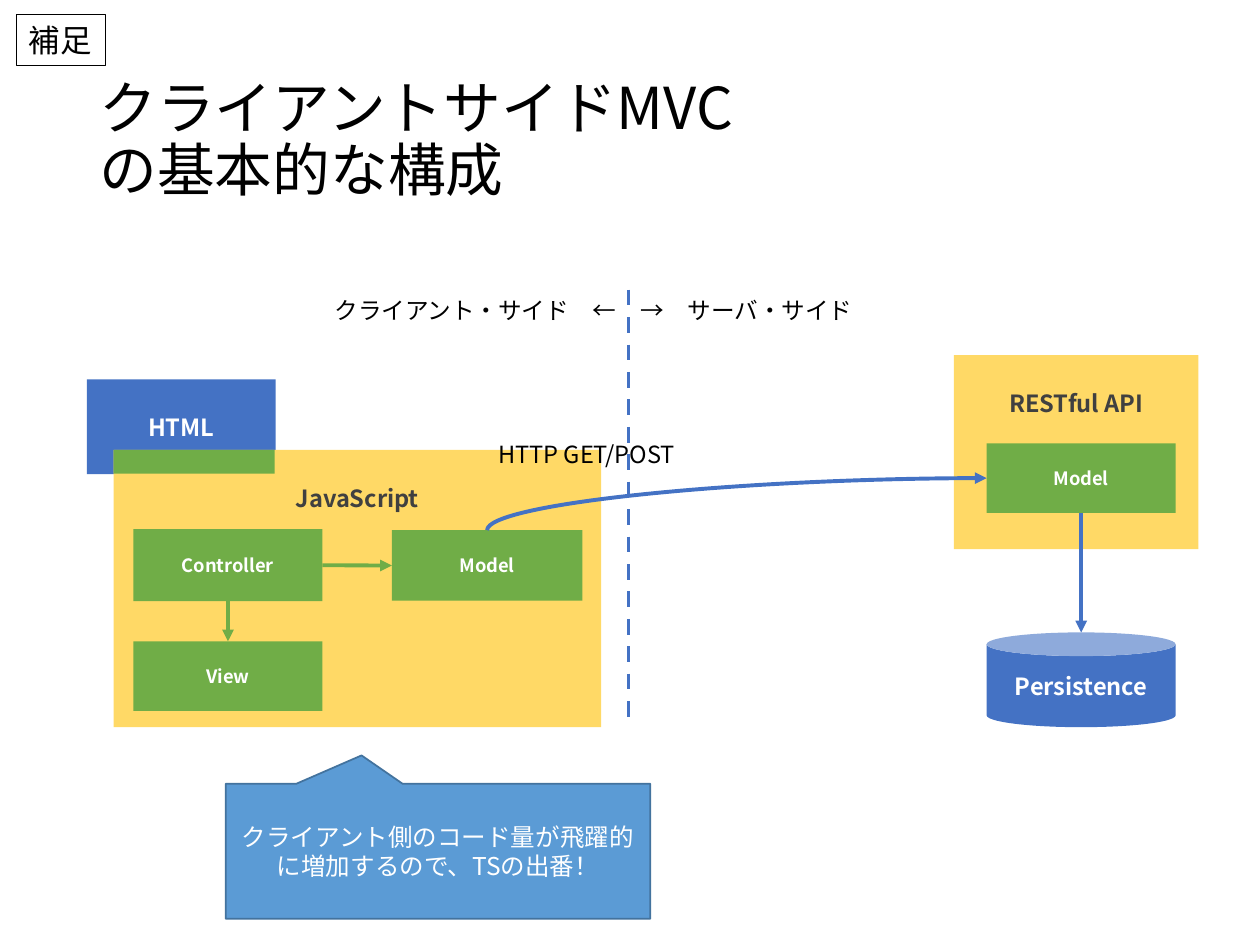
from dataclasses import dataclass
from typing import Optional

from lxml.etree import SubElement
from pptx import Presentation
from pptx.dml.color import RGBColor
from pptx.enum.dml import MSO_LINE
from pptx.enum.shapes import MSO_CONNECTOR, MSO_SHAPE as Shape
from pptx.enum.text import MSO_ANCHOR as Anchor, MSO_AUTO_SIZE as AutoSize, PP_ALIGN as Align
from pptx.oxml.ns import qn
from pptx.util import Cm, Pt

FONT = "Noto Sans CJK JP"
BLACK = RGBColor(0x00, 0x00, 0x00)
WHITE = RGBColor(0xFF, 0xFF, 0xFF)
GRAY = RGBColor(0x40, 0x40, 0x40)
BLUE = RGBColor(0x44, 0x72, 0xC4)
GREEN = RGBColor(0x70, 0xAD, 0x47)
YELLOW = RGBColor(0xFF, 0xD9, 0x66)
SKY = RGBColor(0x5B, 0x9B, 0xD5)
SKY_EDGE = RGBColor(0x43, 0x73, 0x9E)

DIVIDER_X, DIVIDER_TOP, DIVIDER_BOTTOM = 12.67, 5.84, 14.66


@dataclass
class Block:
    """A filled shape, in centimetres, with its label."""
    left: float
    top: float
    width: float
    height: float
    fill: RGBColor
    text: str = ""
    size: float = 13.5
    color: RGBColor = WHITE
    bold: bool = True
    kind: Shape = Shape.RECTANGLE
    heading: bool = False  # label one line below the top edge


@dataclass
class Label:
    left: float
    top: float
    width: float
    height: float
    text: str
    size: float = 13.5


def write(shape, text: str, *, size: float, color: RGBColor = BLACK, bold: bool = False,
          align=Align.LEFT, anchor=Anchor.TOP, wrap: bool = True, spacing: float = 1.0):
    frame = shape.text_frame
    frame.auto_size = AutoSize.NONE
    frame.word_wrap = wrap
    frame.vertical_anchor = anchor
    frame.text = text
    para = frame.paragraphs[0]
    para.alignment = align
    para.line_spacing = spacing
    for span in para.runs:
        span.font.name = FONT
        span.font.size = Pt(size)
        span.font.bold = bold
        span.font.color.rgb = color
        east_asian = SubElement(span.font._element, qn("a:ea"))
        east_asian.set("typeface", FONT)


def draw_block(page, block: Block):
    box = page.shapes.add_shape(block.kind, Cm(block.left), Cm(block.top),
                                Cm(block.width), Cm(block.height))
    box.shadow.inherit = False
    box.fill.solid()
    box.fill.fore_color.rgb = block.fill
    box.line.fill.background()
    if block.text:
        write(box, block.text, size=block.size, color=block.color, bold=block.bold,
              align=Align.CENTER, anchor=Anchor.TOP if block.heading else Anchor.MIDDLE)
    if block.heading:
        box.text_frame.margin_top = Cm(0.69)
    return box


def draw_label(page, label: Label):
    box = page.shapes.add_textbox(Cm(label.left), Cm(label.top), Cm(label.width), Cm(label.height))
    write(box, label.text, size=label.size, wrap=False)
    return box


def style_line(line, color: RGBColor) -> None:
    line.line.color.rgb = color
    line.line.width = Pt(2.25)
    SubElement(line._element.spPr, qn("a:effectLst"))


def draw_curve(page, start, start_site: int, end, end_site: Optional[int], color: RGBColor,
               *, upright: bool = False, bend: bool = False) -> None:
    """Curved arrow; upright leaves vertically, bend turns a single corner.

    An end_site of None means the unglued middle of the top edge.
    """
    curve = page.shapes.add_connector(MSO_CONNECTOR.CURVE, 0, 0,
                                      end.left + end.width // 2, end.top)
    curve.begin_connect(start, start_site)
    if end_site is not None:
        curve.end_connect(end, end_site)
    style_line(curve, color)
    tail = SubElement(curve.line._get_or_add_ln(), qn("a:tailEnd"))
    tail.set("type", "triangle")
    if upright:
        # A quarter turn swaps the frame's width and height about its centre
        left, top, width, height = curve.left, curve.top, curve.width, curve.height
        curve.left = left + (width - height) // 2
        curve.top = top + (height - width) // 2
        curve.width, curve.height = height, width
        frame = curve._element.spPr.find(qn("a:xfrm"))
        frame.set("rot", "5400000")
        for flip in ("flipH", "flipV"):
            frame.set(flip, "1" if bend else "0")
    if bend:
        curve._element.spPr.find(qn("a:prstGeom")).set("prst", "curvedConnector2")


def main() -> None:
    deck = Presentation()
    deck.slide_width, deck.slide_height = Cm(25.4), Cm(19.05)
    page = deck.slides.add_slide(deck.slide_layouts[5])

    # Title
    title = page.shapes.title
    title.left, title.top, title.width, title.height = Cm(1.75), Cm(1.02), Cm(21.89), Cm(3.68)
    write(title, "クライアントサイドMVC\vの基本的な構成", size=33, anchor=Anchor.MIDDLE, spacing=0.9)

    # Server side
    draw_block(page, Block(19.23, 7.16, 4.93, 3.91, YELLOW, "RESTful API", color=GRAY, heading=True))
    store = draw_block(page, Block(19.89, 12.75, 3.81, 1.91, BLUE, "Persistence", kind=Shape.CAN))
    server_model = draw_block(page, Block(19.89, 8.94, 3.81, 1.4, GREEN, "Model", 10.5))

    # Client side, with the overlap of HTML and JavaScript
    draw_block(page, Block(1.75, 7.65, 3.81, 1.91, BLUE, "HTML"))
    draw_block(page, Block(2.29, 9.07, 9.83, 5.59, YELLOW, "JavaScript", color=GRAY, heading=True))
    draw_block(page, Block(2.29, 9.07, 3.25, 0.48, GREEN))
    client_model = draw_block(page, Block(7.9, 10.69, 3.84, 1.42, GREEN, "Model", 10.5))
    controller = draw_block(page, Block(2.69, 10.67, 3.81, 1.45, GREEN, "Controller", 10.5))
    view = draw_block(page, Block(2.69, 12.93, 3.81, 1.4, GREEN, "View", 10.5))

    # Border between client and server
    divider = page.shapes.add_connector(MSO_CONNECTOR.STRAIGHT, Cm(DIVIDER_X), Cm(DIVIDER_TOP),
                                        Cm(DIVIDER_X), Cm(DIVIDER_BOTTOM))
    style_line(divider, BLUE)
    divider.line.dash_style = MSO_LINE.DASH
    for label in (
        Label(DIVIDER_X, DIVIDER_TOP, 4.85, 0.84, "→\u3000サーバ・サイド".replace("\u3000", "　")),
        Label(6.5, DIVIDER_TOP, 6.27, 0.84, "クライアント・サイド　←"),
        Label(9.8, 8.74, 4.39, 0.84, "HTTP GET/POST"),
    ):
        draw_label(page, label)

    # Flow
    draw_curve(page, server_model, 2, store, None, BLUE, upright=True)
    draw_curve(page, controller, 3, client_model, 1, GREEN)
    draw_curve(page, controller, 2, view, 0, GREEN, upright=True)
    draw_curve(page, client_model, 0, server_model, 1, BLUE, upright=True, bend=True)

    # Corner tag
    tag = draw_label(page, Label(0.33, 0.3, 1.8, 1.02, "補足", 18))
    tag.line.color.rgb = BLACK
    tag.line.width = Pt(0.75)

    # Remark
    remark = draw_block(page, Block(4.55, 15.8, 8.56, 2.72, SKY,
                                    "クライアント側のコード量が飛躍的に増加するので、TSの出番！", 14,
                                    bold=False, kind=Shape.RECTANGULAR_CALLOUT))
    remark.adjustments[0], remark.adjustments[1] = -0.18, -0.71
    remark.line.color.rgb = SKY_EDGE
    remark.line.width = Pt(1)

    deck.save("out.pptx")


if __name__ == "__main__":
    main()
